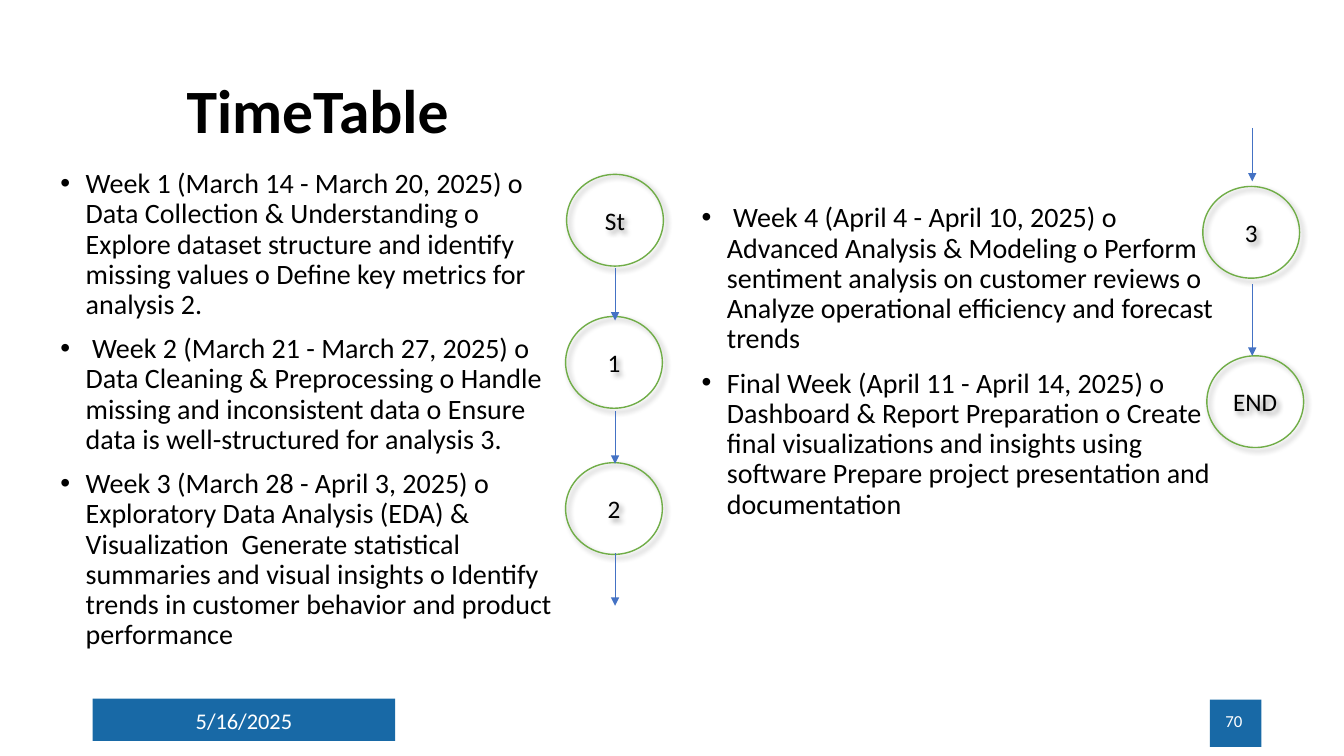
from dataclasses import dataclass

from lxml import etree
from pptx import Presentation
from pptx import util as u
from pptx.dml.color import RGBColor
from pptx.enum import shapes, text
from pptx.oxml import ns


@dataclass(frozen=True)
class Theme:
    font: str = "Calibri"
    ink: str = "000000"
    paper: str = "FFFFFF"
    footer: str = "1869A6"
    ring: str = "70AD47"
    arrow: str = "4472C4"
    title_size: int = 44
    body_size: int = 20
    step_size: int = 18
    date_size: int = 16
    page_size: int = 12


THEME = Theme()
CIRCLE_WIDTH, CIRCLE_HEIGHT = 0.96, 0.91

FIRST_WEEKS = [
    "Week 1 (March 14 - March 20, 2025) o Data Collection & Understanding o Explore dataset "
    "structure and identify missing values o Define key metrics for analysis 2.",
    " Week 2 (March 21 - March 27, 2025) o Data Cleaning & Preprocessing o Handle missing and "
    "inconsistent data o Ensure data is well-structured for analysis 3.",
    "Week 3 (March 28 - April 3, 2025) o Exploratory Data Analysis (EDA) & Visualization  Generate "
    "statistical summaries and visual insights o Identify trends in customer behavior and product "
    "performance",
]
LAST_WEEKS = [
    " Week 4 (April 4 - April 10, 2025) o Advanced Analysis & Modeling o Perform sentiment analysis "
    "on customer reviews o Analyze operational efficiency and forecast trends",
    "Final Week (April 11 - April 14, 2025) o Dashboard & Report Preparation o Create final "
    "visualizations and insights using software Prepare project presentation and documentation",
]


def color(value):
    return RGBColor.from_string(value)


def add_xml(parent, tag, **attributes):
    return etree.SubElement(parent, ns.qn(tag), attributes)


def place(shape, box):
    shape.left, shape.top, shape.width, shape.height = map(u.Inches, box)


def style(para, size, ink=THEME.ink, bold=False):
    for span in para.runs:
        span.font.name = THEME.font
        span.font.size = u.Pt(size)
        span.font.bold = bold
        span.font.color.rgb = color(ink)


def write_title(title, box, words):
    place(title, box)
    frame = title.text_frame
    frame.text = words
    frame.auto_size = text.MSO_AUTO_SIZE.NONE
    frame.vertical_anchor = text.MSO_ANCHOR.MIDDLE
    para = frame.paragraphs[0]
    para.alignment = text.PP_ALIGN.LEFT
    para.line_spacing = 0.9
    style(para, THEME.title_size, bold=True)


def write_weeks(body, box, weeks):
    place(body, box)
    frame = body.text_frame
    frame.text = "\n".join(weeks)
    frame.auto_size = text.MSO_AUTO_SIZE.NONE
    for index, para in enumerate(frame.paragraphs):
        properties = para._p.get_or_add_pPr()
        properties.set("marL", str(u.Inches(0.25)))
        properties.set("indent", str(-u.Inches(0.25)))
        add_xml(properties, "a:buFont", typeface="Arial")
        add_xml(properties, "a:buChar", char="•")
        para.line_spacing = 0.9
        para.space_before = u.Pt(10 if index else 0)
        style(para, THEME.body_size)


def add_step(page, left, top, words):
    step = page.shapes.add_shape(
        shapes.MSO_SHAPE.FLOWCHART_CONNECTOR,
        *map(u.Inches, (left, top, CIRCLE_WIDTH, CIRCLE_HEIGHT)))
    step.fill.background()
    step.line.color.rgb = color(THEME.ring)
    step.line.width = u.Pt(1)
    effects = add_xml(step._element.spPr, "a:effectLst")
    shadow = add_xml(effects, "a:outerShdw", blurRad=str(u.Pt(4)), dist=str(u.Pt(3)),
                     dir="2700000", algn="tl", rotWithShape="0")
    shade = add_xml(shadow, "a:srgbClr", val=THEME.ink)
    add_xml(shade, "a:alpha", val="40000")
    frame = step.text_frame
    frame.text = words
    frame.vertical_anchor = text.MSO_ANCHOR.MIDDLE
    frame.paragraphs[0].alignment = text.PP_ALIGN.CENTER
    style(frame.paragraphs[0], THEME.step_size)


def add_arrow(page, x, top, bottom):
    arrow = page.shapes.add_connector(
        shapes.MSO_CONNECTOR.STRAIGHT, *map(u.Inches, (x, top, x, bottom)))
    arrow.line.color.rgb = color(THEME.arrow)
    arrow.line.width = u.Pt(0.5)
    add_xml(arrow.line._get_or_add_ln(), "a:tailEnd", type="triangle")
    add_xml(arrow._element.spPr, "a:effectLst")


def draw_flow(page, left, top, steps, arrows):
    for shift, drop, words in steps:
        add_step(page, left + shift, top + drop, words)
    for start, end in arrows:
        add_arrow(page, left + CIRCLE_WIDTH / 2 + 0.01, top + start, top + end)


def draw_footer(page, panel_box, label_box, words, size, alignment):
    panel = page.shapes.add_shape(shapes.MSO_SHAPE.RECTANGLE, *map(u.Inches, panel_box))
    panel.shadow.inherit = False
    panel.fill.solid()
    panel.fill.fore_color.rgb = color(THEME.footer)
    panel.line.fill.background()
    label = page.shapes.add_textbox(*map(u.Inches, label_box))
    frame = label.text_frame
    frame.word_wrap = True
    frame.text = words
    frame.vertical_anchor = text.MSO_ANCHOR.MIDDLE
    frame.paragraphs[0].alignment = alignment
    style(frame.paragraphs[0], size, THEME.paper)


def build_timetable(deck):
    page = deck.slides.add_slide(deck.slide_layouts[3])
    title, first, last = page.placeholders
    draw_footer(page, (0.92, 6.93, 3, 0.42), (0.92, 6.95, 3, 0.4),
                "5/16/2025", THEME.date_size, text.PP_ALIGN.CENTER)
    draw_footer(page, (12, 6.94, 0.51, 0.47), (9.42, 6.95, 3, 0.4),
                "70", THEME.page_size, text.PP_ALIGN.RIGHT)
    write_title(title, (1.75, 0.4, 10.66, 1.45), "TimeTable")
    write_weeks(first, (0.5, 1.63, 5.2, 5.72), FIRST_WEEKS)
    write_weeks(last, (6.86, 1.97, 5.47, 5.72), LAST_WEEKS)
    draw_flow(page, 5.61, 1.73,
              [(0.01, 0, "St"), (0, 1.41, "1"), (0, 2.86, "2")],
              [(0.93, 1.45), (2.35, 2.87), (3.76, 4.28)])
    draw_flow(page, 11.93, 1.85,
              [(0, 0, "3"), (0.04, 1.68, "END")],
              [(-0.58, -0.05), (0.97, 1.68)])


def main():
    deck = Presentation()
    deck.slide_width = u.Inches(13.33)
    deck.slide_height = u.Inches(7.5)
    build_timetable(deck)
    deck.save("out.pptx")


if __name__ == "__main__":
    main()
